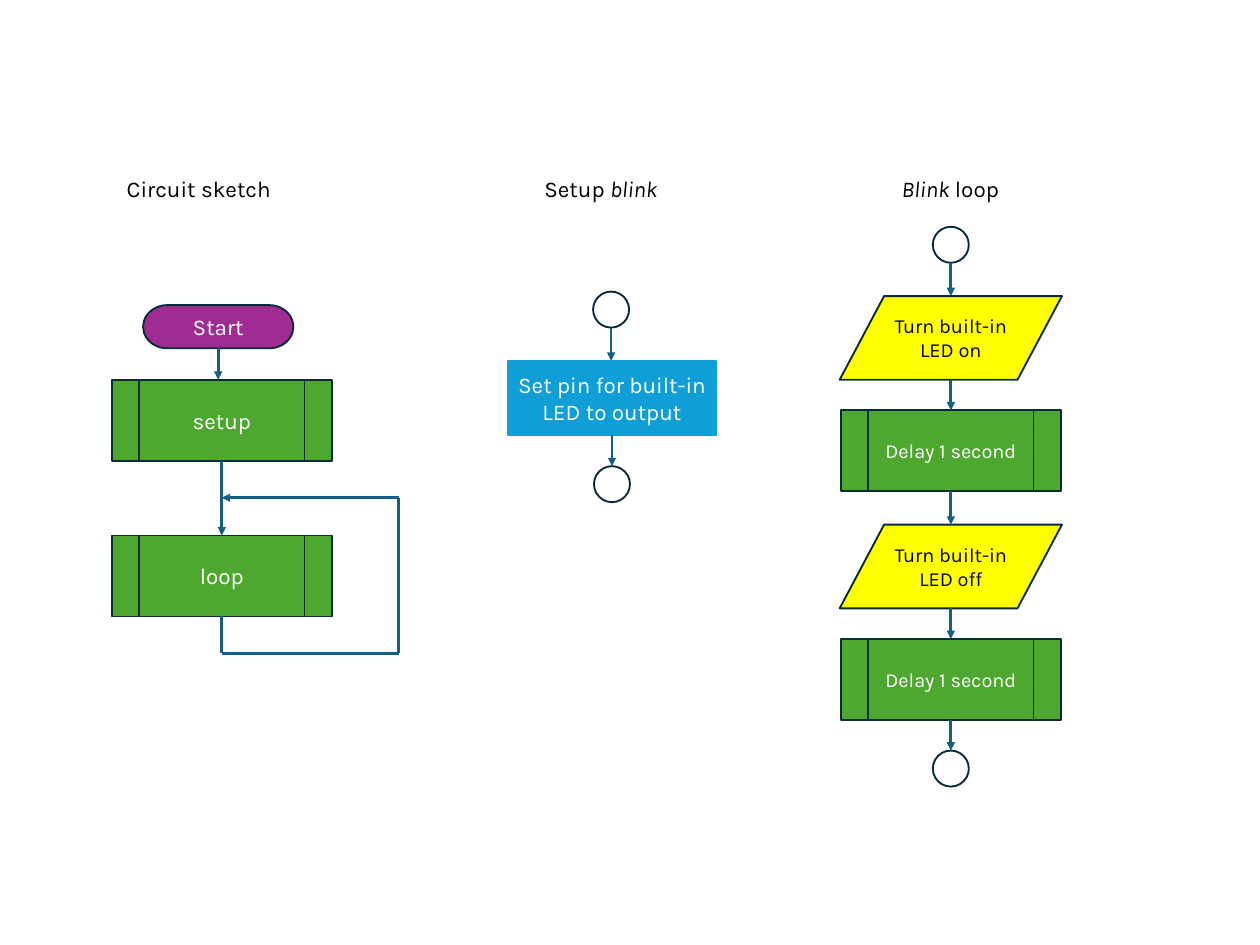
from dataclasses import dataclass
from itertools import pairwise

import pptx
import pptx.dml.color
import pptx.enum.shapes
import pptx.enum.text
import pptx.oxml
import pptx.oxml.ns
import pptx.util

Inches = pptx.util.Inches
KIND = pptx.enum.shapes.MSO_SHAPE
TOP, BOTTOM = 0, 2
JOINABLE = (KIND.FLOWCHART_PROCESS, KIND.FLOWCHART_PREDEFINED_PROCESS, KIND.FLOWCHART_TERMINATOR)


@dataclass(frozen=True)
class Theme:
    font: str = "Karla"
    large: int = 18
    small: int = 16
    outline_width: float = 1.5
    arrow_width: float = 2.25
    black: str = "000000"
    white: str = "FFFFFF"
    outline: str = "092A39"
    arrow: str = "156082"
    purple: str = "A02B93"
    green: str = "4EA72E"
    blue: str = "0F9ED5"
    yellow: str = "FFFF00"


THEME = Theme()


def rgb(color):
    return pptx.dml.color.RGBColor.from_string(color)


def add_run(p, text, size, color, italic=False):
    r = p.add_run()
    r.text = text
    r.font.name = THEME.font
    r.font.size = pptx.util.Pt(size)
    r.font.italic = italic
    r.font.color.rgb = rgb(color)


def add_title(slide, x, y, w, runs):
    sp = slide.shapes.add_textbox(Inches(x), Inches(y), Inches(w), Inches(0.46))
    tf = sp.text_frame
    tf.word_wrap = False
    tf.auto_size = pptx.enum.text.MSO_AUTO_SIZE.SHAPE_TO_FIT_TEXT
    for text, italic in runs:
        add_run(tf.paragraphs[0], text, THEME.large, THEME.black, italic)


def add_node(slide, kind, center, top, w, h, fill, text="", size=THEME.large,
             color=THEME.white, line=THEME.outline):
    sp = slide.shapes.add_shape(kind, Inches(center - w / 2), Inches(top), Inches(w), Inches(h))
    sp.shadow.inherit = False
    sp.fill.solid()
    sp.fill.fore_color.rgb = rgb(fill)
    sp.line.color.rgb = rgb(line)
    sp.line.width = pptx.util.Pt(THEME.outline_width)
    if text:
        tf = sp.text_frame
        tf.word_wrap = True
        tf.vertical_anchor = pptx.enum.text.MSO_ANCHOR.MIDDLE
        p = tf.paragraphs[0]
        p.alignment = pptx.enum.text.PP_ALIGN.CENTER
        add_run(p, text, size, color)
    return sp


def add_circle(slide, center, top):
    return add_node(slide, KIND.FLOWCHART_CONNECTOR, center, top, 0.4, 0.4, THEME.white)


def add_subprocess(slide, center, top, text, size):
    return add_node(slide, KIND.FLOWCHART_PREDEFINED_PROCESS, center, top, 2.45, 0.9,
                    THEME.green, text, size)


def add_line(slide, start, end, arrow=True):
    cxn = slide.shapes.add_connector(pptx.enum.shapes.MSO_CONNECTOR.STRAIGHT, *start, *end)
    cxn.line.color.rgb = rgb(THEME.arrow)
    cxn.line.width = pptx.util.Pt(THEME.arrow_width)
    if arrow:
        tail = pptx.oxml.parse_xml(f'<a:tailEnd {pptx.oxml.ns.nsdecls("a")} type="triangle"/>')
        cxn.line._get_or_add_ln().append(tail)
    effects = pptx.oxml.parse_xml(f'<a:effectLst {pptx.oxml.ns.nsdecls("a")}/>')
    cxn._element.spPr.append(effects)
    return cxn


def middle(sp):
    return sp.left + sp.width // 2


def link(slide, upper, lower):
    x = middle(upper)
    cxn = add_line(slide, (x, upper.top + upper.height), (x, lower.top))
    if upper.auto_shape_type in JOINABLE:
        cxn.begin_connect(upper, BOTTOM)
    if lower.auto_shape_type in JOINABLE and abs(x - middle(lower)) < Inches(0.01):
        cxn.end_connect(lower, TOP)


def link_all(slide, nodes):
    for upper, lower in pairwise(nodes):
        link(slide, upper, lower)


def sketch_chart(slide, x, y, w):
    add_title(slide, x + 0.07, y, 2.17, [("Circuit sketch", False)])
    center = x + w / 2
    start = add_node(slide, KIND.FLOWCHART_TERMINATOR, center - 0.04, y + 1.5, 1.67, 0.48,
                     THEME.purple, "Start")
    setup = add_subprocess(slide, center, y + 2.33, "setup", THEME.large)
    loop = add_subprocess(slide, center, y + 4.06, "loop", THEME.large)
    link_all(slide, [start, setup, loop])

    mid, right = middle(loop), Inches(x + 3.19)
    low, high = Inches(y + 5.37), Inches(y + 3.64)
    points = [(mid, loop.top + loop.height), (mid, low), (right, low), (right, high), (mid, high)]
    lines = [add_line(slide, a, b, arrow=b == points[-1]) for a, b in pairwise(points)]
    lines[0].begin_connect(loop, BOTTOM)


def setup_chart(slide, x, y, w):
    add_title(slide, x + 0.31, y, 1.64, [("Setup ", False), ("blink", True)])
    center = x + w / 2
    entry = add_circle(slide, center - 0.01, y + 1.35)
    step = add_node(slide, KIND.FLOWCHART_PROCESS, center, y + 2.12, w, 0.82, THEME.blue,
                    "Set pin for built-in LED to output", line=THEME.blue)
    leave = add_circle(slide, center, y + 3.29)
    link_all(slide, [entry, step, leave])


def loop_chart(slide, x, y, w):
    add_title(slide, x + 0.59, y, 1.47, [("Blink", True), (" loop", False)])
    center = x + w / 2
    nodes = [add_circle(slide, center, y + 0.63)]
    steps = ["Turn built-in LED on", "Delay 1 second", "Turn built-in LED off", "Delay 1 second"]
    for i, text in enumerate(steps):
        top = y + 1.4 + 1.27 * i
        if text.startswith("Delay"):
            sp = add_subprocess(slide, center, top, text, THEME.small)
        else:
            sp = add_node(slide, KIND.FLOWCHART_DATA, center, top, w, 0.93, THEME.yellow,
                          text, THEME.small, THEME.black)
        nodes.append(sp)
    nodes.append(add_circle(slide, center, y + 6.45))
    link_all(slide, nodes)


def main():
    prs = pptx.Presentation()
    prs.slide_width, prs.slide_height = Inches(14), Inches(10.5)
    slide = prs.slides.add_slide(prs.slide_layouts[6])
    top = 1.89
    sketch_chart(slide, 1.24, top, 2.45)
    setup_chart(slide, 5.64, top, 2.32)
    loop_chart(slide, 9.33, top, 2.47)
    prs.save("out.pptx")


if __name__ == "__main__":
    main()
